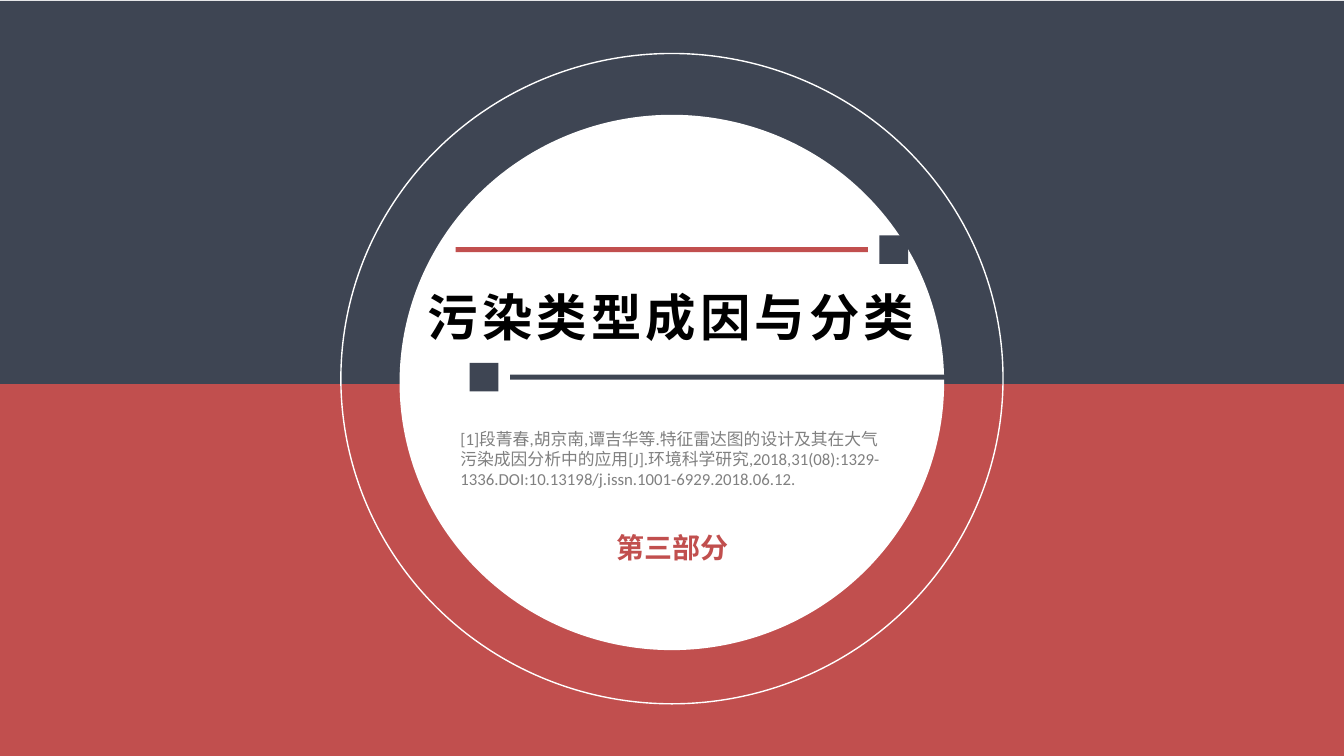
from dataclasses import dataclass

import pptx
import pptx.dml.color
import pptx.enum.shapes
import pptx.enum.text
import pptx.oxml
import pptx.oxml.ns
import pptx.util

Pt = pptx.util.Pt
Shape = pptx.enum.shapes.MSO_SHAPE
Align = pptx.enum.text.PP_ALIGN


@dataclass(frozen=True)
class Theme:
    navy: str = "3E4553"
    red: str = "C14F4E"
    white: str = "FFFFFF"
    black: str = "000000"
    grey: str = "808080"
    chinese_font: str = "Noto Sans CJK SC"
    latin_font: str = "Calibri"
    title_size: int = 36
    section_size: int = 20
    citation_size: int = 12


THEME = Theme()
WIDTH, HEIGHT = 960, 540


def rgb(color):
    return pptx.dml.color.RGBColor.from_string(color)


def add_shape(slide, kind, box, fill=None, line=None):
    shape = slide.shapes.add_shape(kind, *map(Pt, box))
    shape.shadow.inherit = False
    if fill:
        shape.fill.solid()
        shape.fill.fore_color.rgb = rgb(fill)
    else:
        shape.fill.background()
    if line:
        shape.line.color.rgb = rgb(line)
        shape.line.width = Pt(1)
    else:
        shape.line.fill.background()


def add_text(slide, text, box, *, size, color, font=THEME.chinese_font,
             bold=False, align=Align.LEFT, spacing=0):
    """Add a wrapping text box; spacing is the letter spacing in points."""
    frame = slide.shapes.add_textbox(*map(Pt, box)).text_frame
    frame.word_wrap = True
    paragraph = frame.paragraphs[0]
    paragraph.alignment = align
    run = paragraph.add_run()
    run.text = text
    run.font.size = Pt(size)
    run.font.bold = bold
    run.font.color.rgb = rgb(color)
    run.font.name = font
    properties = run.font._element
    if spacing:
        properties.set("spc", str(spacing * 100))
    east_asian = pptx.oxml.parse_xml(
        f'<a:ea {pptx.oxml.ns.nsdecls("a")} typeface="{THEME.chinese_font}"/>')
    properties.find(pptx.oxml.ns.qn("a:latin")).addnext(east_asian)


def add_rule(slide, square_left, bar_left, bar_width, middle, bar_color):
    """Draw a square and a thin bar centred on the same height."""
    square, thickness = 20.5, 3.6
    add_shape(slide, Shape.RECTANGLE,
              (square_left, middle - square / 2, square, square), THEME.navy)
    add_shape(slide, Shape.RECTANGLE,
              (bar_left, middle - thickness / 2, bar_width, thickness), bar_color)


def main():
    presentation = pptx.Presentation()
    presentation.slide_width = Pt(WIDTH)
    presentation.slide_height = Pt(HEIGHT)
    slide = presentation.slides.add_slide(presentation.slide_layouts[6])

    add_shape(slide, Shape.RECTANGLE, (0, 230, WIDTH, 310), THEME.red)
    add_shape(slide, Shape.RECTANGLE, (0, 0.7, WIDTH, 273.6), THEME.navy)
    add_shape(slide, Shape.OVAL, (285.4, 82, 389, 382.4), fill=THEME.white)
    add_shape(slide, Shape.OVAL, (243.5, 38.2, 473, 464.5), line=THEME.white)

    add_text(slide, "污染类型成因与分类", (290.2, 200.9, 378.7, 51.1),
             size=THEME.title_size, color=THEME.black, bold=True,
             align=Align.CENTER, spacing=3)
    add_rule(slide, 628.2, 325.5, 294.5, 178.3, THEME.red)
    add_rule(slide, 335.5, 364.3, 324.7, 269.4, THEME.navy)

    add_text(slide, "第三部分", (422.6, 375.1, 116, 31.7),
             size=THEME.section_size, color=THEME.red, bold=True,
             align=Align.CENTER)
    add_text(slide,
             "[1]段菁春,胡京南,谭吉华等.特征雷达图的设计及其在大气污染成因分析中的应用"
             "[J].环境科学研究,2018,31(08):1329-1336."
             "DOI:10.13198/j.issn.1001-6929.2018.06.12.",
             (321.8, 302.4, 319, 51.1), size=THEME.citation_size,
             color=THEME.grey, font=THEME.latin_font)

    presentation.save("out.pptx")


if __name__ == "__main__":
    main()
